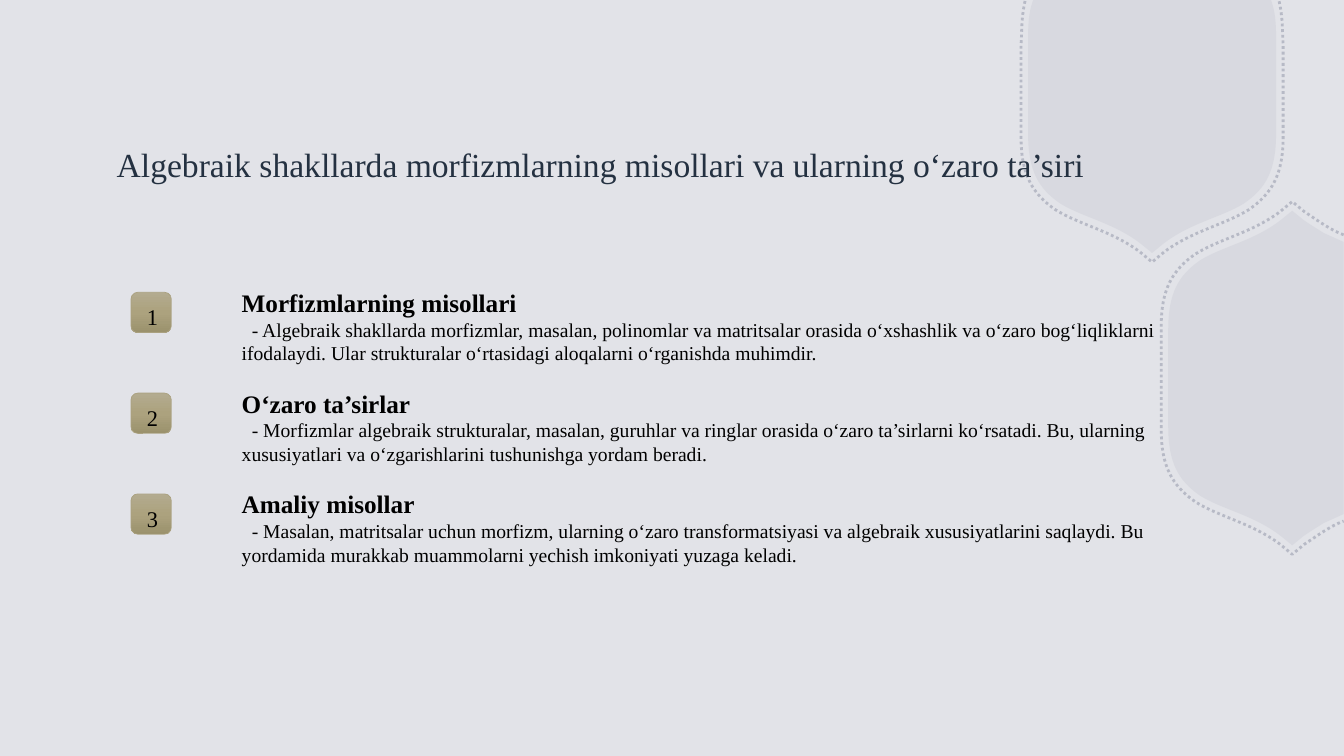
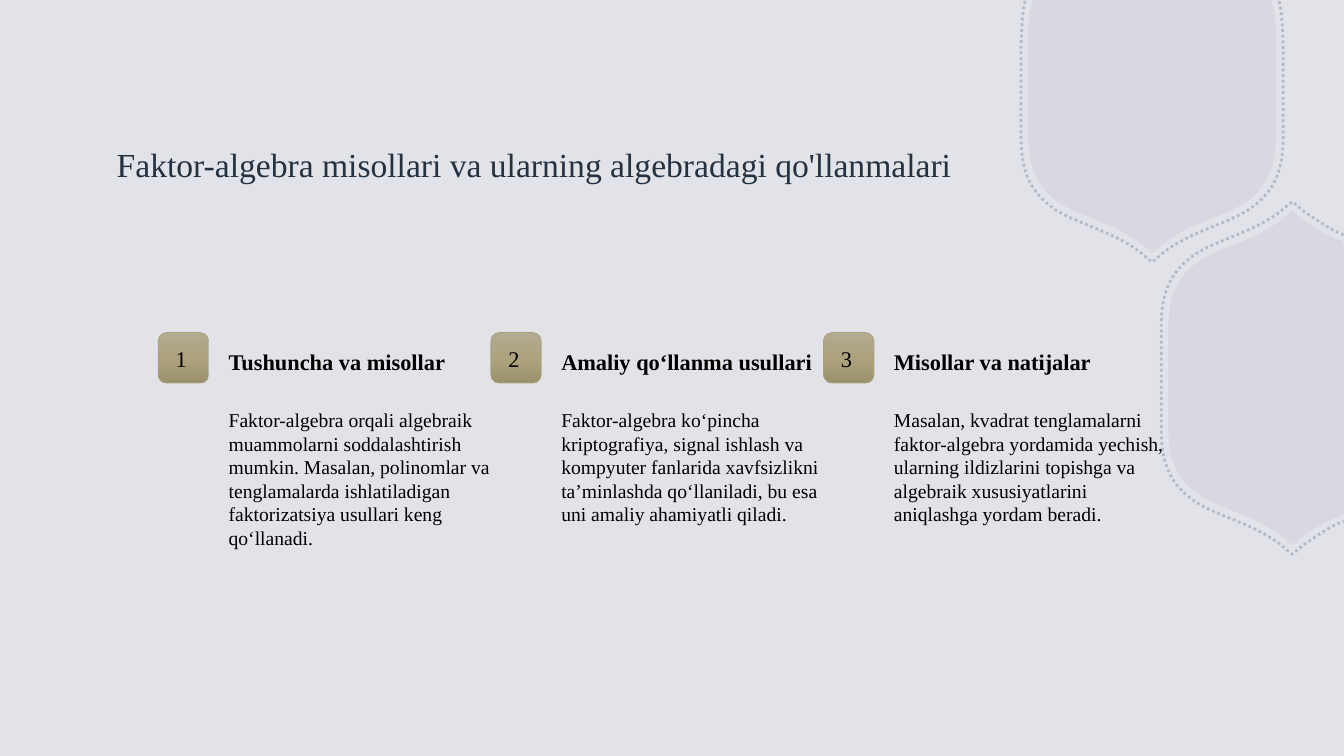
from copy import deepcopy

from lxml.etree import SubElement
from pptx import Presentation
from pptx.dml.color import RGBColor as RGB
from pptx.enum.dml import MSO_LINE
from pptx.enum.shapes import MSO_SHAPE as SHAPE
from pptx.enum.text import MSO_ANCHOR as ANCHOR
from pptx.oxml.ns import qn
from pptx.util import Pt

PX = 9144
FONT = "Times New Roman"
COLORS = {
    "background": "E2E3E8",
    "pattern": "A2A5B5",
    "title": "243141",
    "text": "000000",
    "badge_top": "B3AB8F",
    "badge_middle": "ACA27E",
    "badge_bottom": "9B926D",
    "badge_line": "AAA180",
}
TOP_TILE, RIGHT_TILE = (1143, 85), (1282, 375)
TILES = [
    {
        "closed": True, "opacity": 15,
        "quarter": [(0, 166), (11, 157), (38, 136), (68, 131), (91, 117),
                    (113, 102), (123, 84), (123, 48)],
        "top_end": [(123, -49), (123, -62), (122, -73), (119, -82), (118, -85)],
        "top_kinds": "LCL",
        "right_end": [(11, 157), (18, 152), (25, 148), (31, 144), (51, 135)],
        "right_kinds": "LCL",
    },
    {
        "closed": False, "opacity": 65,
        "quarter": [(0, 175), (12, 165), (40, 144), (72, 138), (96, 123),
                    (119, 107), (130, 88), (130, 51)],
        "top_end": [(130, -41), (129, -55), (130, -66), (126, -84)],
        "top_kinds": "LC",
        "right_end": [(12, 165), (20, 160), (37, 147), (51, 142)],
        "right_kinds": "LC",
    },
]

SLIDES = [
    {
        "title": "Algebraik shakllarda morfizmlarning misollari va ularning o‘zaro ta’siri",
        "start": (130, 290), "step": (0, 100), "badge": 40,
        "heading": (100, -10, 700, 30), "heading_size": 18,
        "body": (100, 20, 1000, 100), "indent": 10,
        "items": [
            ("Morfizmlarning misollari",
             "- Algebraik shakllarda morfizmlar, masalan, polinomlar va matritsalar orasida "
             "o‘xshashlik va o‘zaro bog‘liqliklarni ifodalaydi. Ular strukturalar o‘rtasidagi "
             "aloqalarni o‘rganishda muhimdir."),
            ("O‘zaro ta’sirlar",
             "- Morfizmlar algebraik strukturalar, masalan, guruhlar va ringlar orasida o‘zaro "
             "ta’sirlarni ko‘rsatadi. Bu, ularning xususiyatlari va o‘zgarishlarini "
             "tushunishga yordam beradi."),
            ("Amaliy misollar",
             "- Masalan, matritsalar uchun morfizm, ularning o‘zaro transformatsiyasi va "
             "algebraik xususiyatlarini saqlaydi. Bu yordamida murakkab muammolarni yechish "
             "imkoniyati yuzaga keladi."),
        ],
    },
    {
        "title": "Faktor-algebra misollari va ularning algebradagi qo'llanmalari",
        "start": (157, 330), "step": (330, 0), "badge": 50,
        "heading": (60, 10, 270, 30), "heading_size": 16,
        "body": (60, 70, 300, 200), "indent": 0,
        "items": [
            ("Tushuncha va misollar",
             "Faktor-algebra orqali algebraik muammolarni soddalashtirish mumkin. Masalan, "
             "polinomlar va tenglamalarda ishlatiladigan faktorizatsiya usullari keng "
             "qo‘llanadi."),
            ("Amaliy qo‘llanma usullari",
             "Faktor-algebra ko‘pincha kriptografiya, signal ishlash va kompyuter fanlarida "
             "xavfsizlikni ta’minlashda qo‘llaniladi, bu esa uni amaliy ahamiyatli qiladi."),
            ("Misollar va natijalar",
             "Masalan, kvadrat tenglamalarni faktor-algebra yordamida yechish, ularning "
             "ildizlarini topishga va algebraik xususiyatlarini aniqlashga yordam beradi."),
        ],
    },
]


def add_text(s, text, x, y, w, h, size, color="text", bold=False, indent=0):
    sp = s.shapes.add_textbox(*[round(v * PX) for v in (x, y, w, h)])
    tf = sp.text_frame
    tf.word_wrap = True
    p = tf.paragraphs[0]
    p.text = text
    if indent:
        p._p.get_or_add_pPr().set("indent", str(indent * PX))
    p.font.name = FONT
    p.font.size = Pt(size)
    p.font.bold = bold
    p.font.color.rgb = RGB.from_string(COLORS[color])
    return tf


def add_tile(s, center, points, kinds, closed, opacity):
    emu = [((center[0] + x) * PX, (center[1] + y) * PX) for x, y in points]
    builder = s.shapes.build_freeform(*emu[0], scale=1)
    builder.add_line_segments(emu[1:], close=closed)
    sp = builder.convert_to_shape()
    lines = iter(sp._element.xpath(".//a:lnTo"))
    for kind in kinds:
        line = next(lines)
        if kind == "C":
            curve = line.makeelement(qn("a:cubicBezTo"))
            line.addprevious(curve)
            for part in (line, next(lines), next(lines)):
                curve.append(part[0])
                part.getparent().remove(part)
    sp.shadow.inherit = False
    color = RGB.from_string(COLORS["pattern"])
    if closed:
        sp.fill.solid()
        sp.fill.fore_color.rgb = color
        sp.line.fill.background()
    else:
        sp.fill.background()
        sp.line.color.rgb = color
        sp.line.width = Pt(2)
        sp.line.dash_style = MSO_LINE.ROUND_DOT
    clr = sp._element.spPr.xpath(".//a:srgbClr")[0]
    SubElement(clr, qn("a:alpha")).set("val", str(opacity * 1000))


prs = Presentation()
prs.slide_width, prs.slide_height = 4000 * PX // 3, 750 * PX
background = prs.slide_master.background.fill
background.solid()
background.fore_color.rgb = RGB.from_string(COLORS["background"])

for page in SLIDES:
    s = prs.slides.add_slide(prs.slide_layouts[6])

    for tile in TILES:
        style = tile["closed"], tile["opacity"]
        arm = tile["quarter"] + tile["top_end"]
        kinds = "LCC" + tile["top_kinds"]
        points = [(-x, y) for x, y in arm[:0:-1]] + arm
        add_tile(s, TOP_TILE, points, kinds[::-1] + kinds, *style)

        arm = [(-x, y) for x, y in tile["quarter"][::-1]] + tile["right_end"]
        kinds = "CCL" + tile["right_kinds"]
        points = [(x, -y) for x, y in arm[::-1]] + arm
        add_tile(s, RIGHT_TILE, points, kinds[::-1] + "L" + kinds, *style)

    tf = add_text(s, page["title"], 106, 105, 993, 116, 24, "title")
    tf.vertical_anchor = ANCHOR.MIDDLE

    size = page["badge"]
    for i, (heading, body) in enumerate(page["items"]):
        x, y = [start + i * step for start, step in zip(page["start"], page["step"])]

        sp = s.shapes.add_shape(SHAPE.ROUNDED_RECTANGLE, x * PX, y * PX, size * PX, size * PX)
        sp.shadow.inherit = False
        sp.fill.gradient()
        sp.fill.gradient_angle = 270
        stops = sp._element.spPr.xpath(".//a:gsLst")[0]
        stops.insert(1, deepcopy(stops[0]))
        stops[1].set("pos", "50000")
        for stop, name in zip(sp.fill.gradient_stops,
                              ("badge_top", "badge_middle", "badge_bottom")):
            stop.color.rgb = RGB.from_string(COLORS[name])
        sp.line.color.rgb = RGB.from_string(COLORS["badge_line"])
        sp.line.width = Pt(0.5)

        inset = size * 0.15
        add_text(s, str(i + 1), x + inset, y + inset, size * 0.7, size * 0.7, 16)
        dx, dy, w, h = page["heading"]
        add_text(s, heading, x + dx, y + dy, w, h, page["heading_size"], bold=True)
        dx, dy, w, h = page["body"]
        add_text(s, body, x + dx, y + dy, w, h, 14, indent=page["indent"])

prs.save("out.pptx")
